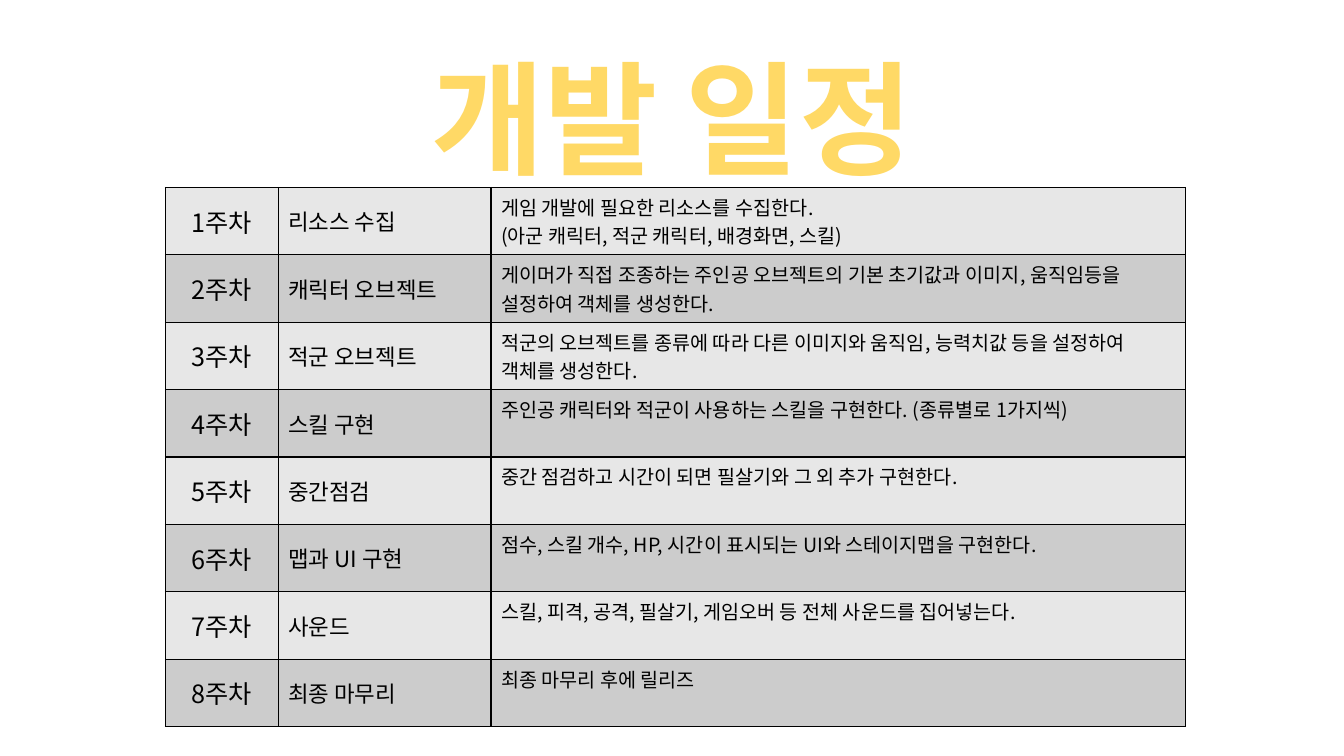
from lxml import etree
from pptx import Presentation
from pptx.dml.color import RGBColor
from pptx.enum.text import MSO_ANCHOR, PP_ALIGN
from pptx.oxml.ns import qn
from pptx.util import Inches, Pt

CENTER, LEFT = PP_ALIGN.CENTER, PP_ALIGN.LEFT
TOP, MIDDLE = MSO_ANCHOR.TOP, MSO_ANCHOR.MIDDLE

FONT = "Noto Sans CJK KR"
BLACK = RGBColor(0x00, 0x00, 0x00)
GOLD = RGBColor(0xFF, 0xD9, 0x66)
BANDS = (RGBColor(0xE7, 0xE7, 0xE7), RGBColor(0xCC, 0xCC, 0xCC))

# Boxes in inches: left, top, width, height
TITLE_BOX = (3.94, 0.37, 5.45, 1.58)
TABLE_BOX = (1.64, 1.86, 10.12, 5.35)

# Columns: width in inches, text size, alignment, anchor
COLUMNS = (
    (1.12, 18, CENTER, MIDDLE),
    (2.11, 16, LEFT, MIDDLE),
    (6.89, 14, LEFT, TOP),
)
SCHEDULE = (
    ("리소스 수집",
     "게임 개발에 필요한 리소스를 수집한다.\n(아군 캐릭터, 적군 캐릭터, 배경화면, 스킬)"),
    ("캐릭터 오브젝트",
     "게이머가 직접 조종하는 주인공 오브젝트의 기본 초기값과 이미지, 움직임등을 설정하여 객체를 생성한다."),
    ("적군 오브젝트",
     "적군의 오브젝트를 종류에 따라 다른 이미지와 움직임, 능력치값 등을 설정하여 객체를 생성한다."),
    ("스킬 구현", "주인공 캐릭터와 적군이 사용하는 스킬을 구현한다. (종류별로 1가지씩)"),
    ("중간점검", "중간 점검하고 시간이 되면 필살기와 그 외 추가 구현한다."),
    ("맵과 UI 구현", "점수, 스킬 개수, HP, 시간이 표시되는 UI와 스테이지맵을 구현한다."),
    ("사운드", "스킬, 피격, 공격, 필살기, 게임오버 등 전체 사운드를 집어넣는다."),
    ("최종 마무리", "최종 마무리 후에 릴리즈"),
)


def write_text(tf, text, size, color, align, bold=False):
    tf.text = text
    for p in tf.paragraphs:
        p.alignment = align
        font = p.font
        font.size, font.bold, font.name = Pt(size), bold, FONT
        font.color.rgb = color
        # Korean text takes the East Asian typeface
        etree.SubElement(font._rPr, qn("a:ea"), typeface=FONT)


def add_borders(cell, color, width):
    tcPr = cell._tc.get_or_add_tcPr()
    for i, side in enumerate(("lnL", "lnR", "lnT", "lnB")):
        ln = etree.Element(qn(f"a:{side}"), w=str(Pt(width)))
        fill = etree.SubElement(ln, qn("a:solidFill"))
        etree.SubElement(fill, qn("a:srgbClr"), val=str(color))
        tcPr.insert(i, ln)


def add_title(slide, box):
    tf = slide.shapes.add_textbox(*map(Inches, box)).text_frame
    tf.word_wrap = False
    write_text(tf, "개발 일정", 88, GOLD, CENTER, bold=True)


def add_schedule(slide, box):
    table = slide.shapes.add_table(
        len(SCHEDULE), len(COLUMNS), *map(Inches, box)).table
    table.first_row = table.horz_banding = False
    for column, (width, *_) in zip(table.columns, COLUMNS):
        column.width = Inches(width)

    for r, entry in enumerate(SCHEDULE):
        texts = (f"{r + 1}주차", *entry)
        for c, (text, (_, size, align, anchor)) in enumerate(zip(texts, COLUMNS)):
            cell = table.cell(r, c)
            cell.fill.solid()
            cell.fill.fore_color.rgb = BANDS[r % 2]
            cell.vertical_anchor = anchor
            write_text(cell.text_frame, text, size, BLACK, align)
            add_borders(cell, BLACK, 1)


def main():
    prs = Presentation()
    prs.slide_width, prs.slide_height = Inches(13.33), Inches(7.5)
    slide = prs.slides.add_slide(prs.slide_layouts[6])
    add_title(slide, TITLE_BOX)
    add_schedule(slide, TABLE_BOX)
    prs.save("out.pptx")


if __name__ == "__main__":
    main()
